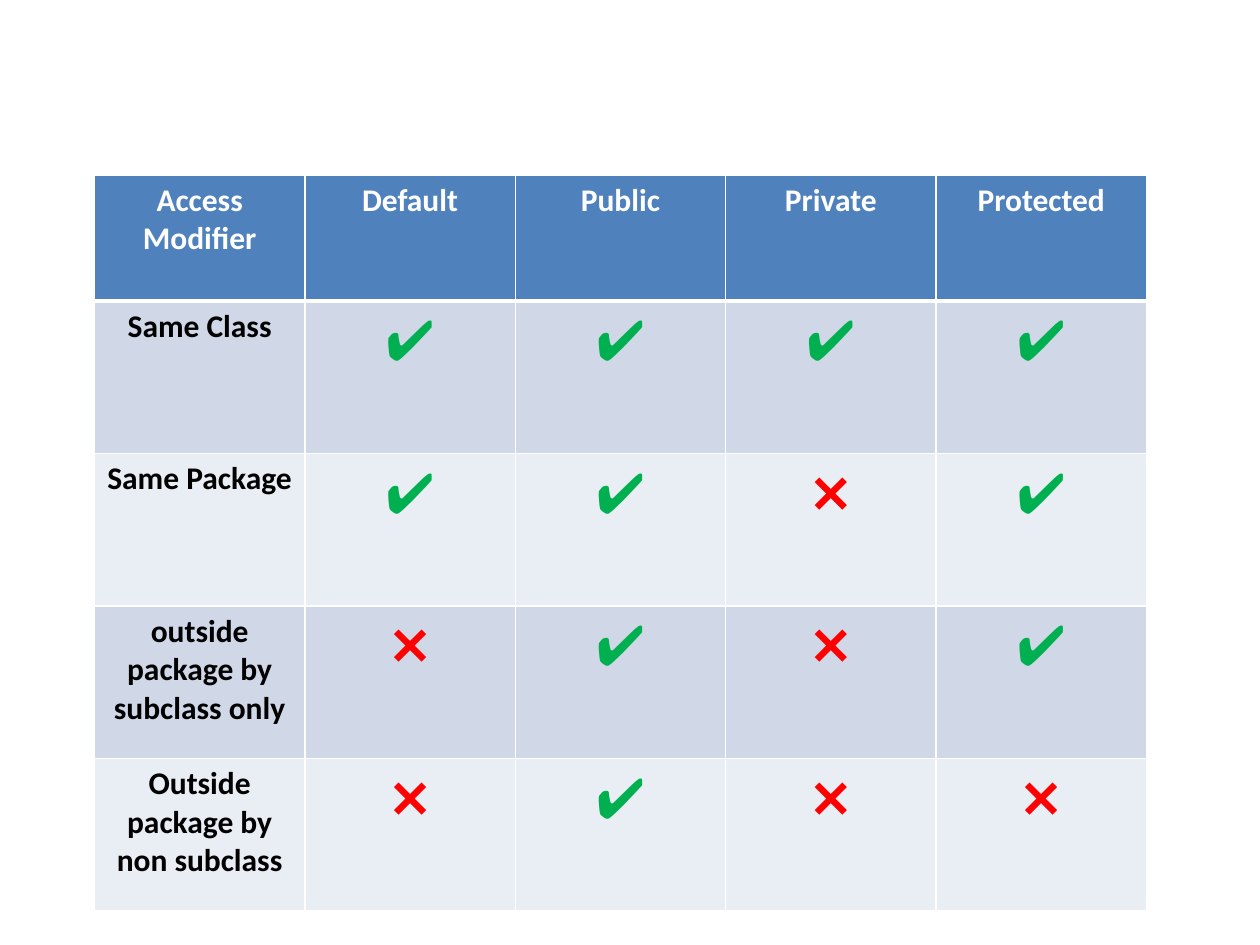
from typing import NamedTuple

from pptx import Presentation, util as u
from pptx.dml.color import RGBColor
from pptx.enum import text
from pptx.oxml.ns import qn
from lxml import etree

HEX = {"head": "4F81BD", "odd": "D0D8E8", "even": "E9EDF4", "white": "FFFFFF",
       "black": "000000", "yes": "00B050", "no": "FF0000"}


class Style(NamedTuple):
    size: int
    bold: bool
    color: str


class Access(NamedTuple):
    scope: str
    marks: str


HEAD = Style(18, True, "white")
SCOPE = Style(18, True, "black")
MARKS = {"✔": Style(32, True, "yes"), "❌": Style(32, False, "no")}

NAMES = ["Access Modifier", "Default", "Public", "Private", "Protected"]
RULES = [
    Access("Same Class", "✔✔✔✔"),
    Access("Same Package", "✔✔❌✔"),
    Access("outside package by subclass only", "❌✔❌✔"),
    Access("Outside package by non subclass", "❌✔❌❌"),
]


def add_edge(cell, side: str, width: float) -> None:
    props = cell._tc.get_or_add_tcPr()
    line = etree.SubElement(props, qn(f"a:ln{side}"), w=str(u.Pt(width)))
    fill = etree.SubElement(line, qn("a:solidFill"))
    etree.SubElement(fill, qn("a:srgbClr"), val=HEX["white"])


def fill_cell(cell, words: str, style: Style, back: str, top: float, base: float) -> None:
    for side, width in zip("LRTB", (1, 1, top, base)):
        add_edge(cell, side, width)
    cell.fill.solid()
    cell.fill.fore_color.rgb = RGBColor.from_string(HEX[back])
    para = cell.text_frame.paragraphs[0]
    para.alignment = text.PP_ALIGN.CENTER
    run = para.add_run()
    run.text = words
    font = run.font
    font.name, font.size, font.bold = "Calibri", u.Pt(style.size), style.bold
    font.color.rgb = RGBColor.from_string(HEX[style.color])


def main() -> None:
    deck = Presentation()
    deck.slide_width, deck.slide_height = u.Inches(10), u.Inches(7.5)
    slide = deck.slides.add_slide(deck.slide_layouts[6])

    wide, tall, first = u.Inches(1.67), u.Inches(1.21), u.Inches(1)
    rows, cols = len(RULES) + 1, len(NAMES)
    grid = slide.shapes.add_table(rows, cols, u.Inches(0.75), u.Inches(1.39),
                                  cols * wide, first + len(RULES) * tall).table
    for col in grid.columns:
        col.width = wide
    for i, row in enumerate(grid.rows):
        row.height = tall if i else first

    for j, name in enumerate(NAMES):
        fill_cell(grid.cell(0, j), name, HEAD, "head", 1, 3)
    for i, rule in enumerate(RULES, 1):
        back = "odd" if i % 2 else "even"
        top = 3 if i == 1 else 1
        fill_cell(grid.cell(i, 0), rule.scope, SCOPE, back, top, 1)
        for j, mark in enumerate(rule.marks, 1):
            fill_cell(grid.cell(i, j), mark, MARKS[mark], back, top, 1)

    deck.save("out.pptx")


if __name__ == "__main__":
    main()
